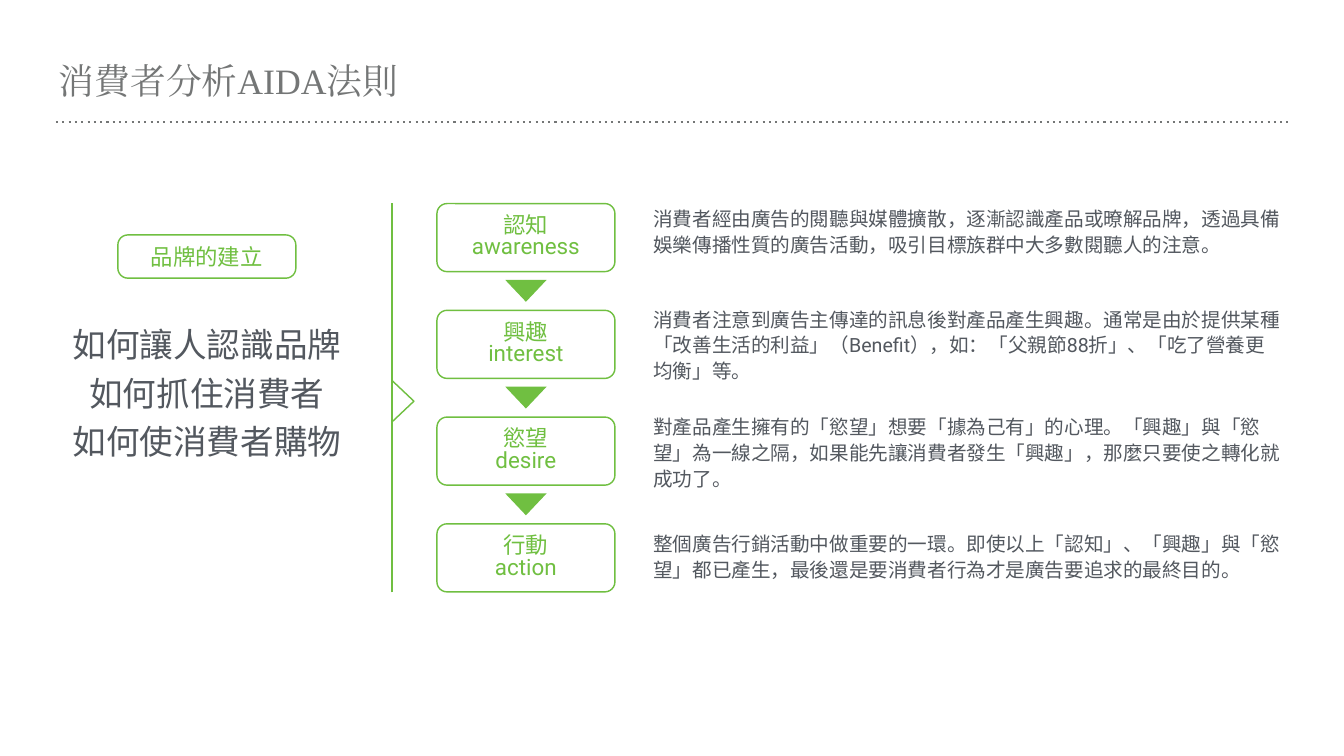
from dataclasses import dataclass

from lxml.etree import SubElement
from pptx import Presentation
from pptx.dml.color import RGBColor
from pptx.enum.shapes import MSO_CONNECTOR as Connector, MSO_SHAPE as Shape
from pptx.enum.text import MSO_ANCHOR as Anchor, PP_ALIGN as Align
from pptx.oxml.ns import qn
from pptx.util import Cm, Pt


@dataclass(frozen=True)
class Theme:
    green: RGBColor = RGBColor(0x70, 0xBF, 0x41)
    title_gray: RGBColor = RGBColor(0x74, 0x76, 0x76)
    body_gray: RGBColor = RGBColor(0x53, 0x58, 0x5F)
    title_font: str = "Times New Roman"
    body_font: str = "Roboto"
    title_size: float = 51
    question_size: float = 48
    label_size: float = 32
    body_size: float = 28
    outline: float = 2
    rule: float = 3


class SlideBuilder:
    def __init__(self, slide, theme):
        self.shapes = slide.shapes
        self.theme = theme

    def fill_frame(self, frame, text, size, color, font=None, align=Align.LEFT,
                   spacing=None, inset=0.27):
        """Put styled text into a text frame."""
        frame.word_wrap = True
        frame.margin_left = frame.margin_right = Cm(inset)
        frame.margin_top = frame.margin_bottom = Cm(inset)
        frame.text = text
        for paragraph in frame.paragraphs:
            paragraph.alignment = align
            paragraph.line_spacing = spacing
            for run in paragraph.runs:
                run.font.name = font or self.theme.body_font
                run.font.size = Pt(size)
                run.font.color.rgb = color
                east_asian = SubElement(run.font._element, qn("a:ea"))
                east_asian.set("typeface", run.font.name)

    def text(self, left, top, width, height, text, size, color, **style):
        box = self.shapes.add_textbox(Cm(left), Cm(top), Cm(width), Cm(height))
        self.fill_frame(box.text_frame, text, size, color, **style)

    def label(self, left, top, width, height, text, corner, spacing=None):
        """Outlined rounded box with centred text."""
        box = self.shapes.add_shape(Shape.ROUNDED_RECTANGLE, Cm(left), Cm(top),
                                    Cm(width), Cm(height))
        box.adjustments[0] = corner
        box.shadow.inherit = False
        box.fill.background()
        box.line.color.rgb = self.theme.green
        box.line.width = Pt(self.theme.outline)
        box.text_frame.vertical_anchor = Anchor.MIDDLE
        self.fill_frame(box.text_frame, text, self.theme.label_size,
                        self.theme.green, align=Align.CENTER, spacing=spacing,
                        inset=0.2)

    def line(self, start, end, color, width, dotted=False):
        line = self.shapes.add_connector(
            Connector.STRAIGHT, *(Cm(v) for v in (*start, *end)))
        line.line.color.rgb = color
        line.line.width = Pt(width)
        properties = line._element.spPr
        if dotted:
            dash = SubElement(properties.find(qn("a:ln")), qn("a:custDash"))
            SubElement(dash, qn("a:ds"), d="100000", sp="200000")
        SubElement(properties, qn("a:effectLst"))

    def triangle(self, corners, filled):
        first, *others = [(Cm(x), Cm(y)) for x, y in corners]
        builder = self.shapes.build_freeform(*first)
        builder.add_line_segments(others, close=True)
        shape = builder.convert_to_shape()
        shape.shadow.inherit = False
        if filled:
            shape.fill.solid()
            shape.fill.fore_color.rgb = self.theme.green
            shape.line.fill.background()
        else:
            shape.fill.background()
            shape.line.color.rgb = self.theme.green
            shape.line.width = Pt(self.theme.outline)


# label, explanation, top and height of the explanation
STEPS = [
    ("認知\nawareness",
     "消費者經由廣告的閱聽與媒體擴散，逐漸認識產品或暸解品牌，透過具備"
     "娛樂傳播性質的廣告活動，吸引目標族群中大多數閱聽人的注意。", 10.03, 3.73),
    ("興趣\ninterest",
     "消費者注意到廣告主傳達的訊息後對產品產生興趣。通常是由於提供某種"
     "「改善生活的利益」（Benefit），如：「父親節88折」、「吃了營養更均衡」等。",
     15.11, 5.46),
    ("慾望\ndesire",
     "對產品產生擁有的「慾望」想要「據為己有」的心理。「興趣」與「慾望」為一線之隔，"
     "如果能先讓消費者發生「興趣」，那麼只要使之轉化就成功了。", 20.52, 5.46),
    ("行動\naction",
     "整個廣告行銷活動中做重要的一環。即使以上「認知」、「興趣」與「慾望」都已產生，"
     "最後還是要消費者行為才是廣告要追求的最終目的。", 26.44, 3.43),
]
LABEL_WIDTH = 8.97
STEP_LEFT, STEP_TOP, STEP_HEIGHT, STEP_PITCH = 22.02, 10.26, 3.43, 5.38
ARROW_HALF, ARROW_DEPTH, ARROW_GAP = 1.04, 1.1, 0.42
DIVIDER_X, POINTER_Y = 19.76, 20.22


def main():
    prs = Presentation()
    prs.slide_width, prs.slide_height = Cm(67.73), Cm(38.1)
    theme = Theme()
    page = SlideBuilder(prs.slides.add_slide(prs.slide_layouts[6]), theme)

    page.line((2.82, 6.17), (64.92, 6.17), theme.title_gray, theme.rule, dotted=True)
    page.text(2.82, 2.82, 62.08, 2.82, "消費者分析AIDA法則", theme.title_size,
              theme.title_gray, font=theme.title_font, inset=0.15)

    page.label(5.94, 11.84, LABEL_WIDTH, 2.18, "品牌的建立", corner=0.232)
    page.text(1.6, 15.67, 17.65, 9.09,
              "如何讓人認識品牌\v如何抓住消費者\v如何使消費者購物",
              theme.question_size, theme.body_gray, align=Align.CENTER, spacing=1.2)

    page.line((DIVIDER_X, 29.85), (DIVIDER_X, 10.21), theme.green, theme.outline)
    page.triangle([(DIVIDER_X + ARROW_DEPTH, POINTER_Y),
                   (DIVIDER_X, POINTER_Y - ARROW_HALF),
                   (DIVIDER_X, POINTER_Y + ARROW_HALF)], filled=False)

    center = STEP_LEFT + LABEL_WIDTH / 2
    for i, (label, explanation, text_top, text_height) in enumerate(STEPS):
        top = STEP_TOP + i * STEP_PITCH
        page.label(STEP_LEFT, top, LABEL_WIDTH, STEP_HEIGHT, label,
                   corner=0.148, spacing=0.8)
        page.text(32.66, text_top, 32.16, text_height, explanation,
                  theme.body_size, theme.body_gray, spacing=1.1)
        if i < len(STEPS) - 1:
            arrow_top = top + STEP_HEIGHT + ARROW_GAP
            page.triangle([(center, arrow_top + ARROW_DEPTH),
                           (center + ARROW_HALF, arrow_top),
                           (center - ARROW_HALF, arrow_top)], filled=True)

    prs.save("out.pptx")


if __name__ == "__main__":
    main()
